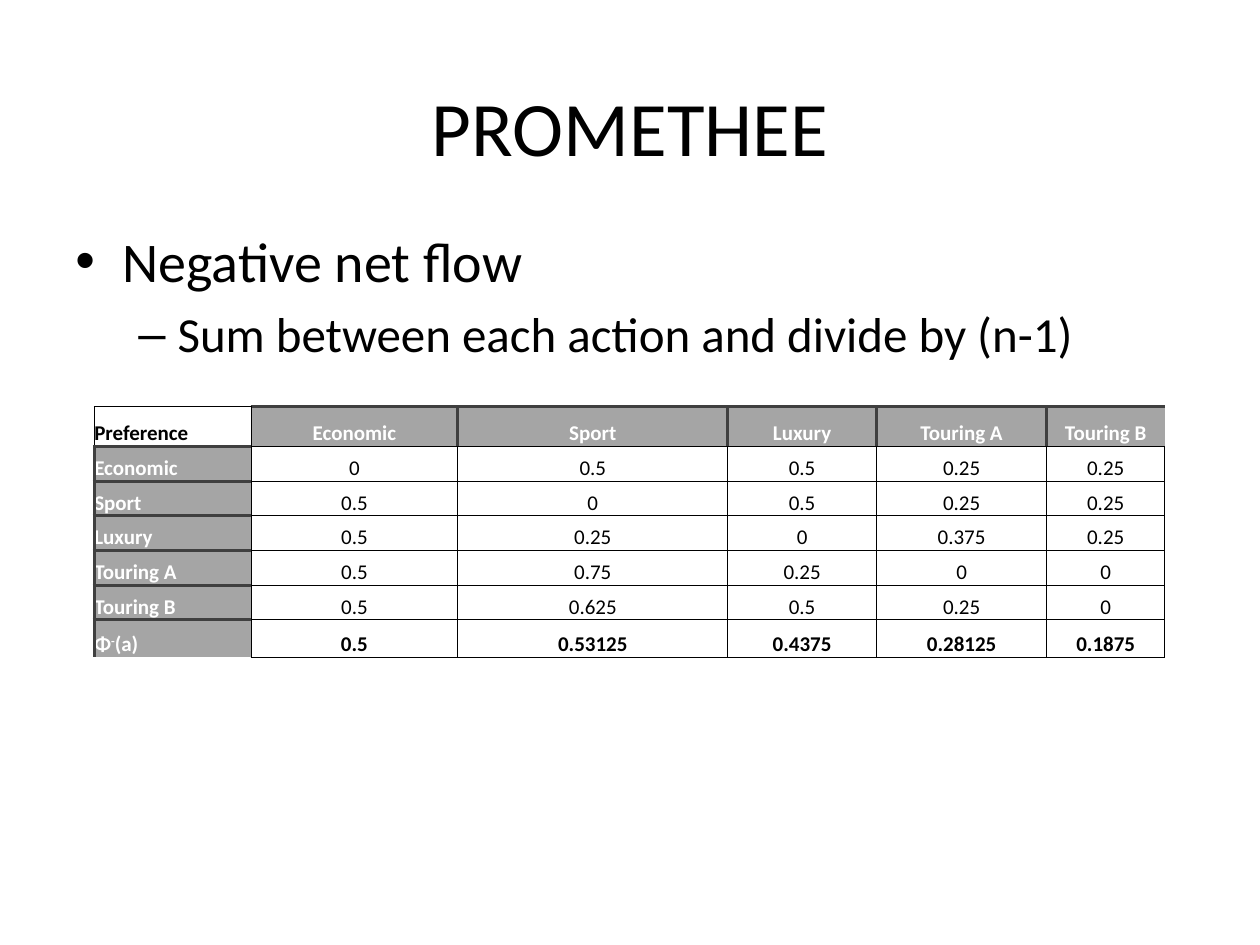
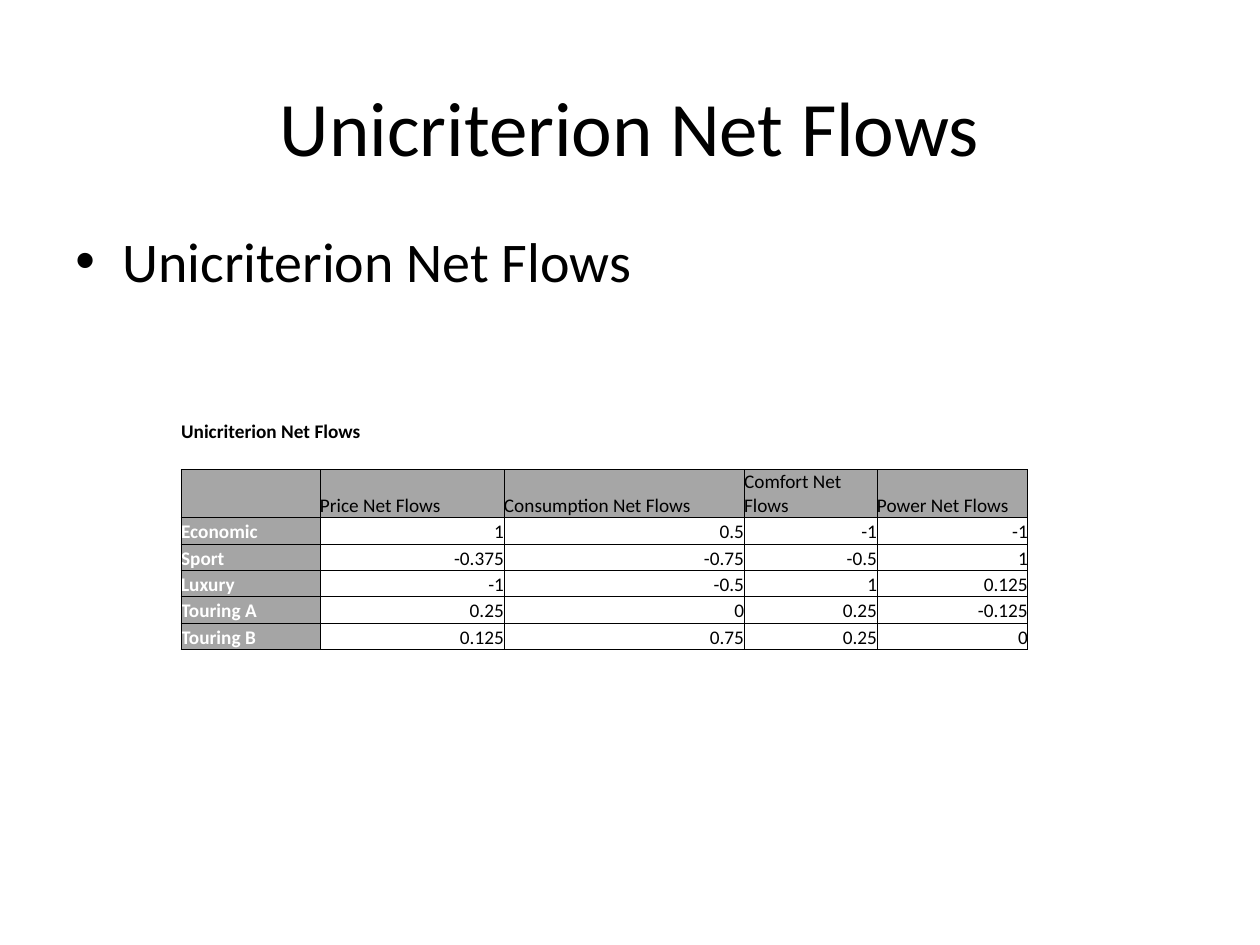
from lxml import etree
from pptx import Presentation
from pptx.dml.color import RGBColor
from pptx.enum.text import MSO_ANCHOR, PP_ALIGN
from pptx.oxml.ns import qn
from pptx.util import Cm, Pt

LEFT, CENTER, RIGHT = PP_ALIGN.LEFT, PP_ALIGN.CENTER, PP_ALIGN.RIGHT
MIDDLE, BOTTOM = MSO_ANCHOR.MIDDLE, MSO_ANCHOR.BOTTOM


class Theme:
    font = "Calibri"
    black, white = "000000", "FFFFFF"
    label_gray, header_gray, border_gray = "A5A5A5", "A6A6A6", "3F3F3F"
    title_size, flow_size, net_size = 44, 12, 11
    bullet_sizes = (32, 28)
    bullet_marks = ("•", "–")
    bullet_indents = ((0.95, -0.95), (2.06, -0.79))
    no_style = "{2D5ABB26-0587-4C30-8999-92F81FD0307C}"


THIN = (Theme.black, 0.5)
THICK = (Theme.border_gray, 2)


def add_run(paragraph, text, size, color=Theme.black, bold=False):
    run = paragraph.add_run()
    run.text = text
    run.font.name = Theme.font
    run.font.size = Pt(size)
    run.font.bold = bold
    run.font.color.rgb = RGBColor.from_string(color)
    return run


def fill_cell(cell, text, size, alignment, color, bold, fill, borders):
    """Borders are given as left, right, top, bottom; ^ encloses superscript."""
    cell.margin_left = cell.margin_right = cell.margin_top = cell.margin_bottom = 0
    cell.vertical_anchor = BOTTOM
    properties = cell._tc.get_or_add_tcPr()
    for side, border in zip("LRTB", borders):
        line = etree.SubElement(properties, qn(f"a:ln{side}"))
        if border is None:
            etree.SubElement(line, qn("a:noFill"))
            continue
        line.set("w", str(Pt(border[1])))
        solid = etree.SubElement(line, qn("a:solidFill"))
        etree.SubElement(solid, qn("a:srgbClr"), val=border[0])
    if fill:
        cell.fill.solid()
        cell.fill.fore_color.rgb = RGBColor.from_string(fill)
    else:
        cell.fill.background()
    paragraph = cell.text_frame.paragraphs[0]
    if not text:
        etree.SubElement(paragraph._p, qn("a:endParaRPr"), sz=str(size * 100))
        return
    paragraph.alignment = alignment
    for index, part in enumerate(text.split("^")):
        run = add_run(paragraph, part, size, color, bold)
        if index % 2:
            run.font._element.set("baseline", "30000")


presentation = Presentation()
presentation.slide_width, presentation.slide_height = Cm(25.4), Cm(19.05)

# Slide contents: title, bullets by level, table place, columns, rows, cells
pages = [
    ("PROMETHEE",
     ["Negative net flow", "Sum between each action and divide by (n-1)"],
     (1.9, 8.2), [3.16, 4.17, 5.44, 3, 3.43, 2.38], [0.8] + [0.7] * 5 + [0.75],
     [["Preference", "Economic", "Sport", "Luxury", "Touring A", "Touring B"],
      ["Economic", "0", "0.5", "0.5", "0.25", "0.25"],
      ["Sport", "0.5", "0", "0.5", "0.25", "0.25"],
      ["Luxury", "0.5", "0.25", "0", "0.375", "0.25"],
      ["Touring A", "0.5", "0.75", "0.25", "0", "0"],
      ["Touring B", "0.5", "0.625", "0.5", "0.25", "0"],
      ["Φ^-^(a)", "0.5", "0.53125", "0.4375", "0.28125", "0.1875"]]),
    ("Unicriterion Net Flows",
     ["Unicriterion Net Flows"],
     (3.65, 8.41), [2.8, 3.71, 4.84, 2.68, 3.04], [0.53] * 2 + [0.97] + [0.53] * 5,
     [["Unicriterion Net Flows", "", "", "", ""],
      [""] * 5,
      ["", "Price Net Flows", "Consumption Net Flows", "Comfort Net Flows",
       "Power Net Flows"],
      ["Economic", "1", "0.5", "-1", "-1"],
      ["Sport", "-0.375", "-0.75", "-0.5", "1"],
      ["Luxury", "-1", "-0.5", "1", "0.125"],
      ["Touring A", "0.25", "0", "0.25", "-0.125"],
      ["Touring B", "0.125", "0.75", "0.25", "0"]]),
]

tables = []
for title, bullets, place, widths, heights, rows in pages:
    slide = presentation.slides.add_slide(presentation.slide_layouts[6])

    # Title
    title_box = slide.shapes.add_textbox(Cm(1.27), Cm(0.95), Cm(22.86), Cm(3.18))
    title_box.text_frame.word_wrap = True
    title_box.text_frame.vertical_anchor = MIDDLE
    paragraph = title_box.text_frame.paragraphs[0]
    paragraph.alignment = CENTER
    add_run(paragraph, title, Theme.title_size)

    # Bullets, one level deeper each
    body_box = slide.shapes.add_textbox(Cm(1.27), Cm(4.45), Cm(22.86), Cm(12.57))
    body = body_box.text_frame
    body.word_wrap = True
    for level, text in enumerate(bullets):
        paragraph = body.add_paragraph() if level else body.paragraphs[0]
        paragraph.level = level
        properties = paragraph._p.get_or_add_pPr()
        margin, indent = Theme.bullet_indents[level]
        properties.set("marL", str(Cm(margin)))
        properties.set("indent", str(Cm(indent)))
        spacing = etree.SubElement(properties, qn("a:spcBef"))
        etree.SubElement(spacing, qn("a:spcPct"), val="20000")
        etree.SubElement(properties, qn("a:buFont"), typeface="Arial")
        etree.SubElement(properties, qn("a:buChar"), char=Theme.bullet_marks[level])
        add_run(paragraph, text, Theme.bullet_sizes[level])

    # Table grid
    frame = slide.shapes.add_table(len(rows), len(widths), Cm(place[0]), Cm(place[1]),
                                   Cm(sum(widths)), Cm(sum(heights)))
    table = frame.table
    table.first_row = table.horz_banding = False
    table._tbl.tblPr.find(qn("a:tableStyleId")).text = Theme.no_style
    for column, width in zip(table.columns, widths):
        column.width = Cm(width)
    for row, height in zip(table.rows, heights):
        row.height = Cm(height)
    tables.append((table, rows))

# Negative flow table: heavy borders around the labels
flow_table, rows = tables[0]
last_row, last_column = len(rows) - 1, len(rows[0]) - 1
for r, row in enumerate(rows):
    for c, text in enumerate(row):
        is_label = (r == 0) != (c == 0)
        borders = (THIN,) * 4
        if r == 0 and c == 0:
            borders = (THIN, THIN, THIN, THICK)
        elif r == 0:
            borders = (THIN if c == 1 else THICK,
                       None if c == last_column else THICK, THICK, THIN)
        elif c == 0:
            borders = (THICK, THIN, THICK, None if r == last_row else THICK)
        fill_cell(flow_table.cell(r, c), text, Theme.flow_size,
                  CENTER if c else LEFT,
                  Theme.white if is_label else Theme.black,
                  r in (0, last_row) or c == 0,
                  Theme.label_gray if is_label else None, borders)

# Unicriterion table: caption, open row, header row, then values
net_table, rows = tables[1]
caption_row, open_row, header_row = range(3)
for r, row in enumerate(rows):
    for c, text in enumerate(row):
        is_label = r > header_row and c == 0
        fill = Theme.label_gray if is_label else None
        borders = (THIN,) * 4
        if r == header_row:
            fill = Theme.header_gray
        elif r < header_row:
            borders = (None, None, None, THIN if r == open_row else None)
        fill_cell(net_table.cell(r, c), text, Theme.net_size,
                  RIGHT if r > header_row and c else LEFT,
                  Theme.white if is_label else Theme.black,
                  is_label or r == caption_row, fill, borders)
net_table.cell(caption_row, 0).merge(net_table.cell(caption_row, 1))

presentation.save("out.pptx")
